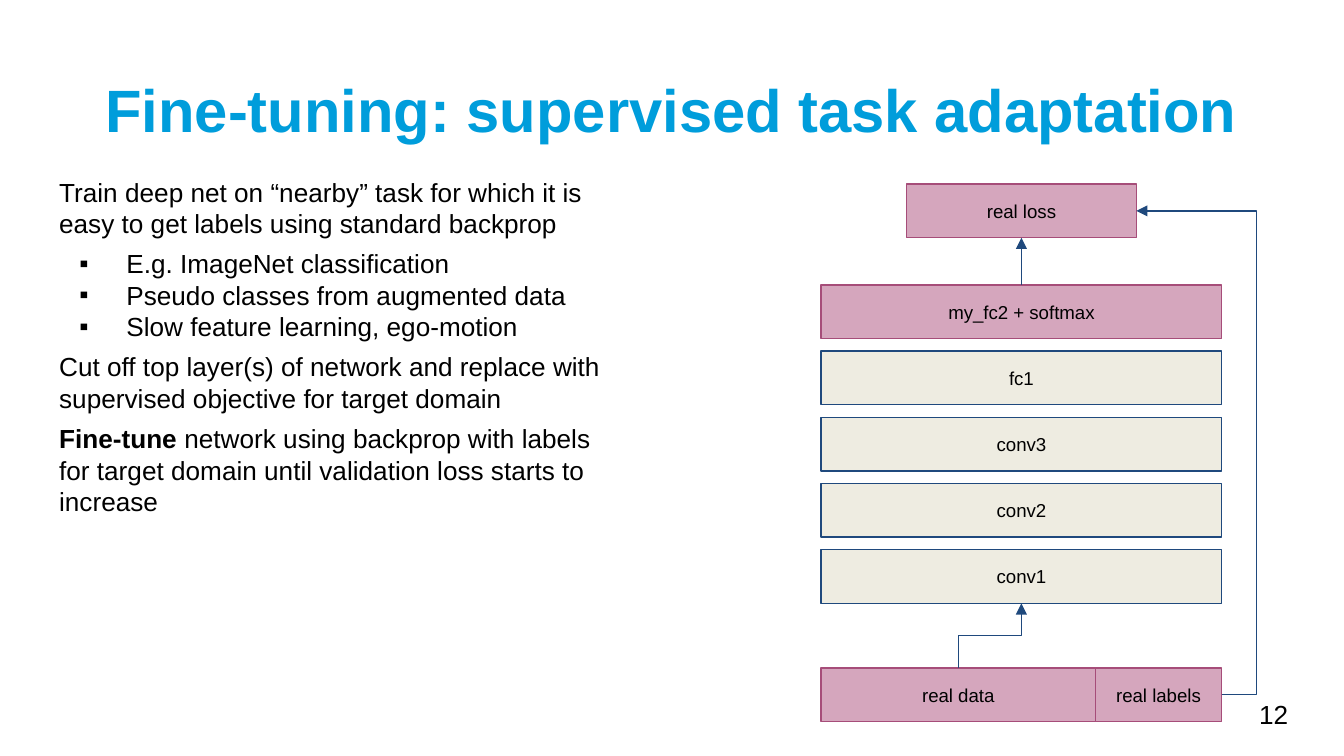
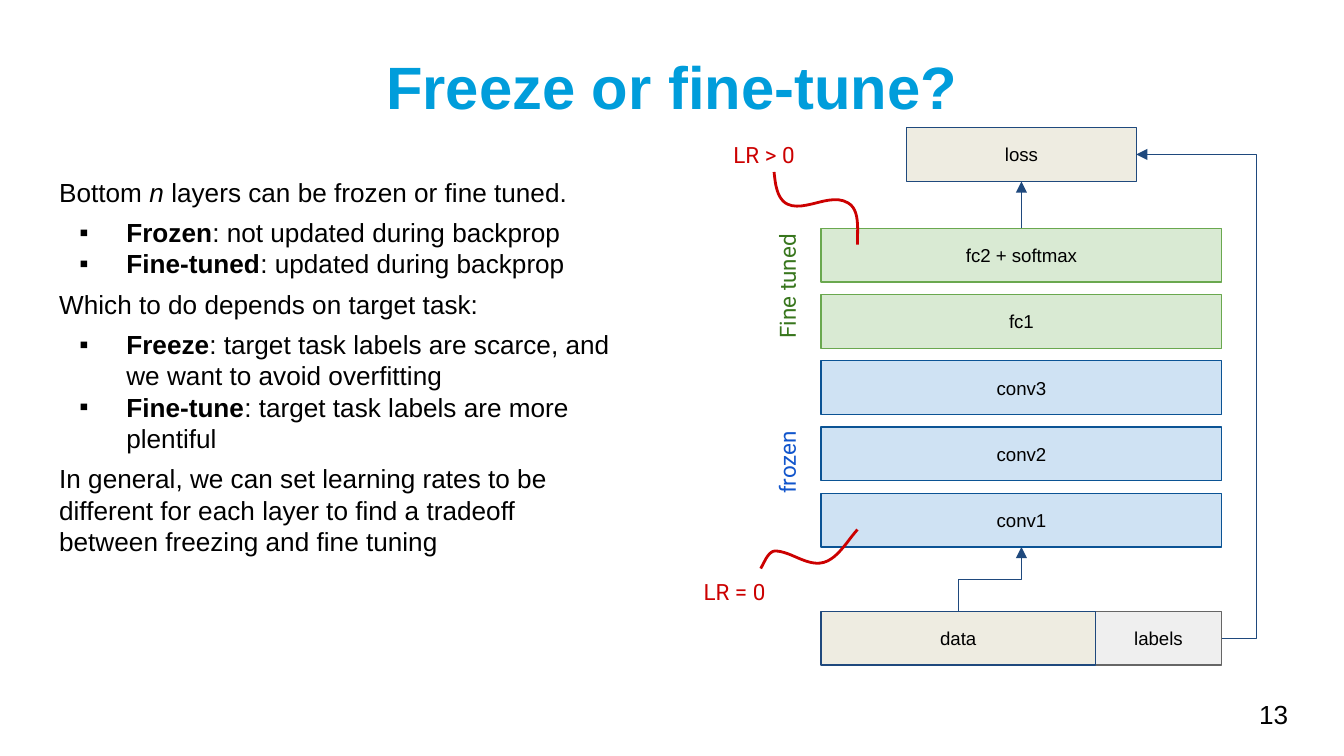
from dataclasses import dataclass
from lxml.etree import SubElement
from pptx import Presentation
from pptx.dml.color import RGBColor
from pptx.enum.shapes import MSO_CONNECTOR, MSO_SHAPE
from pptx.enum.text import MSO_ANCHOR, MSO_AUTO_SIZE, PP_ALIGN
from pptx.oxml.ns import qn
from pptx.util import Inches, Pt


@dataclass(frozen=True)
class Theme:
    title: str = "009DDB"
    ink: str = "000000"
    line: str = "1F497D"
    red: str = "CC0000"
    green: str = "38761D"
    blue: str = "1155CC"
    sand: tuple = ("EEECE1", "1F497D")
    pink: tuple = ("D5A6BD", "A64D79")
    mint: tuple = ("D9EAD3", "6AA84F")
    sky: tuple = ("CFE2F3", "0B5394")
    gray: tuple = ("EFEFEF", "666666")
    font: str = "Arial"
    note: str = "Roboto"
    head_size: int = 32
    text_size: int = 14
    note_size: int = 12
    box_size: int = 10
    thin: float = 0.75
    thick: float = 1.5


T = Theme()
PAGE = 10
LEFT, WIDE, HIGH = 6.11, 2.98, 0.4
MID = LEFT + WIDE / 2
DATA = 2.04
LABEL = WIDE - DATA
LOSS = 1.71
FIRST, LAST, BASE = 0.75, 2.72, 3.6
RAIL = 9.35


def put(item, vals):
    for key, val in vals.items():
        setattr(item, key, val)


def place(item, x, y, w, h):
    put(item, {"left": Inches(x), "top": Inches(y),
               "width": Inches(w), "height": Inches(h)})


def frame(item, pad_x, pad_y, anchor):
    put(item.text_frame, {
        "word_wrap": True, "auto_size": MSO_AUTO_SIZE.NONE,
        "margin_left": Inches(pad_x), "margin_right": Inches(pad_x),
        "margin_top": Inches(pad_y), "margin_bottom": Inches(pad_y),
        "vertical_anchor": anchor})
    return item.text_frame


def write(para, text, size, color=T.ink, font=T.font, mark=""):
    run = para.add_run()
    run.text = text
    put(run.font, {"size": Pt(size), "name": font,
                   "bold": "b" in mark, "italic": "i" in mark})
    run.font.color.rgb = RGBColor.from_string(color)


def stroke(item, color, width):
    item.line.color.rgb = RGBColor.from_string(color)
    item.line.width = Pt(width)


def title(slide, text, y):
    item = slide.shapes.title
    place(item, 0.34, y, 9.32, 0.63)
    para = frame(item, 0, 0, MSO_ANCHOR.MIDDLE).paragraphs[0]
    para.alignment = PP_ALIGN.CENTER
    write(para, text, T.head_size, T.title, mark="b")


def bullet(para, on):
    props = para._p.get_or_add_pPr()
    put_at = {"marL": Inches(0.5 if on else 0),
              "indent": Inches(-0.35 if on else 0)}
    for key, val in put_at.items():
        props.set(key, str(val))
    if not on:
        SubElement(props, qn("a:buNone"))
        return
    tint = SubElement(props, qn("a:buClr"))
    SubElement(tint, qn("a:srgbClr")).set("val", T.ink)
    SubElement(props, qn("a:buFont")).set("typeface", T.font)
    SubElement(props, qn("a:buChar")).set("char", "▪")


def body(slide, rows):
    item = slide.placeholders[1]
    place(item, 0.34, 1.26, 4.37, 3.74)
    text = frame(item, 0.1, 0.05, MSO_ANCHOR.TOP)
    last = 0
    for i, (level, *runs) in enumerate(rows):
        para = text.add_paragraph() if i else text.paragraphs[0]
        gap = 0 if level and last else 4.8
        put(para, {"level": level, "alignment": PP_ALIGN.LEFT,
                   "space_before": Pt(gap), "line_spacing": 1.0})
        bullet(para, level)
        for words, mark in runs:
            write(para, words, T.text_size, mark=mark)
        last = level


def box(slide, text, look, x, y, w):
    item = slide.shapes.add_shape(
        MSO_SHAPE.RECTANGLE, Inches(x), Inches(y), Inches(w), Inches(HIGH))
    item.shadow.inherit = False
    item.fill.solid()
    item.fill.fore_color.rgb = RGBColor.from_string(look[0])
    stroke(item, look[1], T.thin)
    para = frame(item, 0.1, 0.1, MSO_ANCHOR.MIDDLE).paragraphs[0]
    para.alignment = PP_ALIGN.CENTER
    write(para, text, T.box_size)
    return item


def arrow(slide, kind, x1, y1, x2, y2):
    item = slide.shapes.add_connector(
        kind, Inches(x1), Inches(y1), Inches(x2), Inches(y2))
    stroke(item, T.line, T.thin)
    SubElement(item.line._ln, qn("a:tailEnd")).set("type", "triangle")
    SubElement(item._element.spPr, qn("a:effectLst"))
    return item


def rise(slide, x1, y1, x2, y2):
    run, lift = x2 - x1, y1 - y2
    x, y = (x1 + x2 - lift) / 2, (y1 + y2 - run) / 2
    item = arrow(slide, MSO_CONNECTOR.ELBOW, x, y, x + lift, y + run)
    item._element.spPr.find(qn("a:xfrm")).set("rot", "16200000")


def loop(slide, x1, y1, x2, y2):
    item = arrow(slide, MSO_CONNECTOR.ELBOW, x1, y1, x2, y2)
    shape = item._element.spPr.find(qn("a:prstGeom"))
    guide = SubElement(shape.find(qn("a:avLst")), qn("a:gd"))
    bend = round((x1 - RAIL) / (x1 - x2) * 100000)
    guide.set("name", "adj1")
    guide.set("fmla", f"val {bend}")


def stack(slide, top, loss, layers, data, label):
    base = top + BASE
    step = (LAST - FIRST) / (len(layers) - 1)
    goal = box(slide, *loss, MID - LOSS / 2, top, LOSS)
    rows = [box(slide, *layer, LEFT, top + FIRST + i * step, WIDE)
            for i, layer in enumerate(layers)]
    box(slide, *label, LEFT + DATA, base, LABEL)
    box(slide, *data, LEFT, base, DATA)
    rise(slide, LEFT + DATA / 2, base, MID, top + LAST + HIGH)
    loop(slide, LEFT + WIDE, base + HIGH / 2, MID + LOSS / 2, top + HIGH / 2)
    link = arrow(slide, MSO_CONNECTOR.STRAIGHT,
                 MID, top + FIRST, MID, top + HIGH)
    link.begin_connect(rows[0], 0)
    link.end_connect(goal, 2)


def label(slide, text, color, x, y, w, h, turn=0):
    item = slide.shapes.add_textbox(
        Inches(x), Inches(y), Inches(w), Inches(h))
    item.rotation = turn
    para = frame(item, 0.1, 0.1, MSO_ANCHOR.TOP).paragraphs[0]
    para.alignment = PP_ALIGN.CENTER
    write(para, text, T.note_size, color, T.note)


def curve(slide, knots, steps=12):
    dots = []
    for k in range(0, len(knots) - 1, 3):
        a, b, c, d = knots[k:k + 4]
        for n in range(1, steps + 1):
            t = n / steps
            u = 1 - t
            dots.append(tuple(
                Inches(u**3 * p + 3 * u * u * t * q + 3 * u * t * t * r + t**3 * s)
                for p, q, r, s in zip(a, b, c, d)))
    x, y = knots[0]
    pen = slide.shapes.build_freeform(Inches(x), Inches(y))
    pen.add_line_segments(dots, close=False)
    item = pen.convert_to_shape()
    item.shadow.inherit = False
    item.fill.background()
    stroke(item, T.red, T.thick)


def number(slide, text):
    item = slide.shapes.add_textbox(
        Inches(9.27), Inches(5.1), Inches(0.6), Inches(0.43))
    para = frame(item, 0.1, 0.1, MSO_ANCHOR.MIDDLE).paragraphs[0]
    write(para, text, T.text_size)


def start(deck, head, y, rows, page):
    slide = deck.slides.add_slide(deck.slide_layouts[1])
    title(slide, head, y)
    body(slide, rows)
    number(slide, page)
    return slide


def adapt(deck):
    slide = start(deck, "Fine-tuning: supervised task adaptation", 0.49, [
        (0, ("Train deep net on “nearby” task for which it is easy to get "
             "labels using standard backprop", "")),
        (1, ("E.g. ImageNet classification", "")),
        (1, ("Pseudo classes from augmented data", "")),
        (1, ("Slow feature learning, ego-motion", "")),
        (0, ("Cut off top layer(s) of network and replace with supervised "
             "objective for target domain", "")),
        (0, ("Fine-tune ", "b"),
         ("network using backprop with labels for target domain until "
          "validation loss starts to increase", "")),
    ], "12")
    plain = [(name, T.sand) for name in ("fc1", "conv3", "conv2", "conv1")]
    stack(slide, 1.37, ("real loss", T.pink),
          [("my_fc2 + softmax", T.pink), *plain],
          ("real data", T.pink), ("real labels", T.pink))


def freeze(deck):
    slide = start(deck, "Freeze or fine-tune?", 0.32, [
        (0, ("Bottom ", ""), ("n", "i"),
         (" layers can be frozen or fine tuned.", "")),
        (1, ("Frozen", "b"), (": not updated during backprop", "")),
        (1, ("Fine-tuned", "b"), (": updated during backprop", "")),
        (0, ("Which to do depends on target task:", "")),
        (1, ("Freeze", "b"),
         (": target task labels are scarce, and we want to avoid overfitting", "")),
        (1, ("Fine-tune", "b"),
         (": target task labels are more plentiful", "")),
        (0, ("In general, we can set learning rates to be different for each "
             "layer to find a tradeoff between freezing and fine tuning", "")),
    ], "13")
    tuned = [(name, T.mint) for name in ("fc2 + softmax", "fc1")]
    froze = [(name, T.sky) for name in ("conv3", "conv2", "conv1")]
    stack(slide, 0.95, ("loss", T.sand), tuned + froze,
          ("data", T.sand), ("labels", T.gray))
    label(slide, "Fine tuned", T.green, 5.2, 1.93, 1.31, 0.4, 270)
    label(slide, "frozen", T.blue, 5.2, 3.24, 1.31, 0.4, 270)
    label(slide, "LR = 0", T.red, 5.04, 4.2, 0.85, 0.35)
    label(slide, "LR > 0", T.red, 5.26, 0.95, 0.85, 0.35)
    curve(slide, [(5.66, 4.23), (5.69, 4.18), (5.72, 4.09), (5.78, 4.1),
                  (5.89, 4.11), (5.99, 4.2), (6.1, 4.19),
                  (6.22, 4.18), (6.3, 4.03), (6.38, 3.94)])
    curve(slide, [(5.76, 1.28), (5.77, 1.37), (5.78, 1.48), (5.86, 1.52),
                  (5.99, 1.58), (6.18, 1.43), (6.31, 1.51),
                  (6.4, 1.56), (6.38, 1.71), (6.38, 1.82)])


def main():
    deck = Presentation()
    put(deck, {"slide_width": Inches(PAGE),
               "slide_height": Inches(PAGE * 9 / 16)})
    adapt(deck)
    freeze(deck)
    deck.save("out.pptx")


if __name__ == "__main__":
    main()
